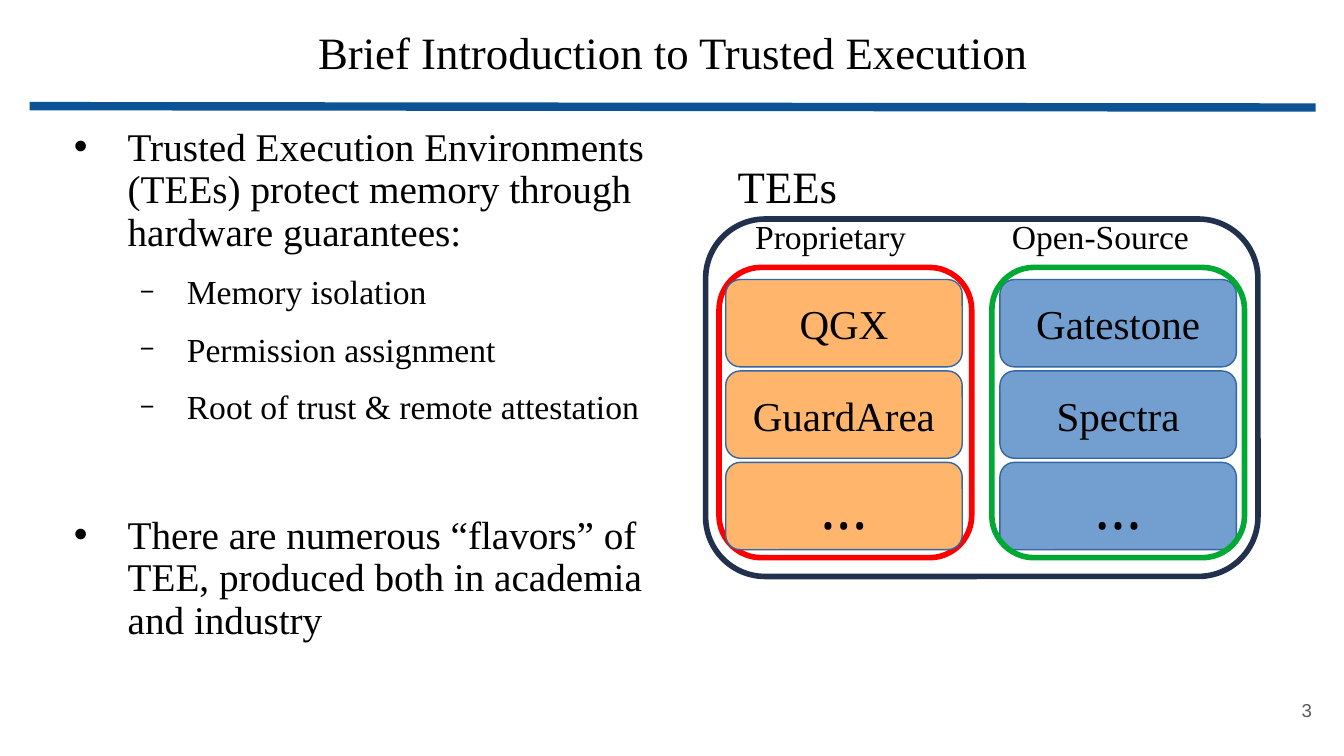
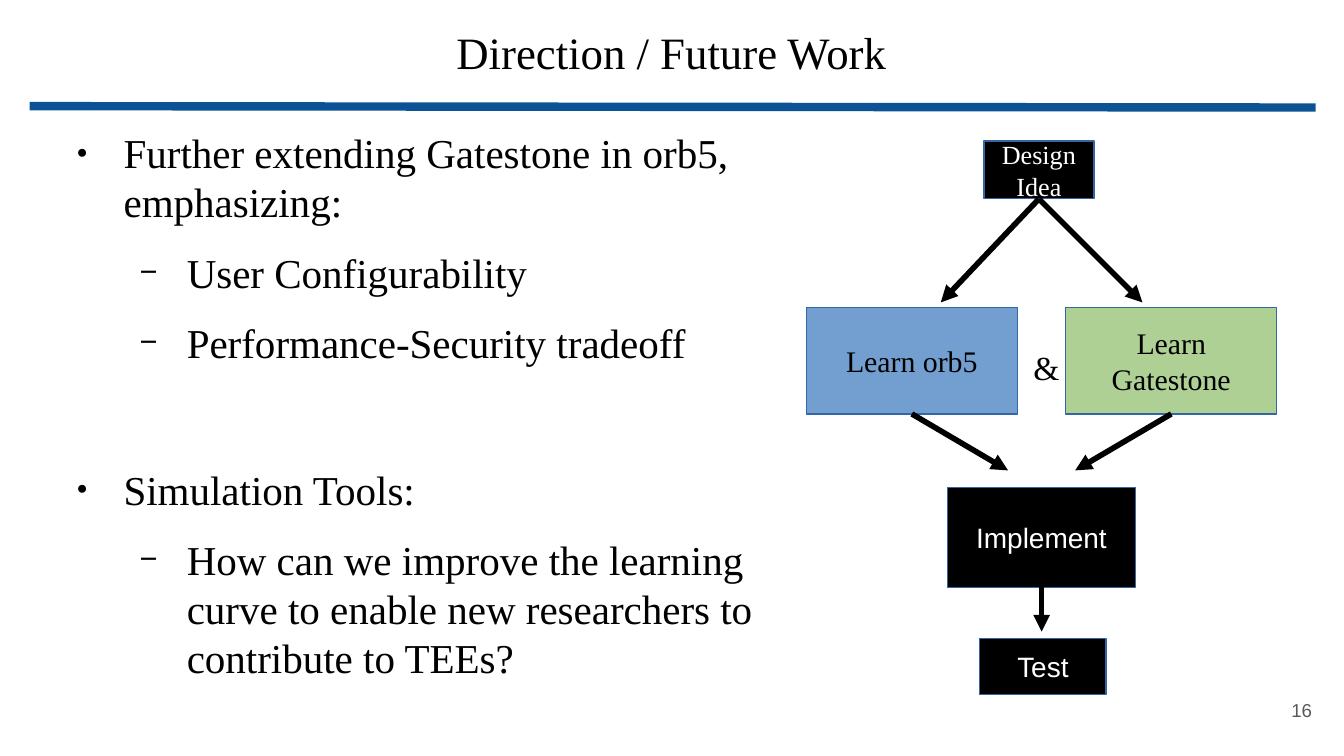
from dataclasses import dataclass

from lxml.etree import SubElement
from pptx import Presentation
from pptx.dml.color import RGBColor
from pptx.enum.shapes import MSO_CONNECTOR, MSO_SHAPE
from pptx.enum.text import MSO_ANCHOR, PP_ALIGN
from pptx.oxml.ns import qn
from pptx.util import Inches, Pt


@dataclass(frozen=True)
class Theme:
    serif: str = "Times New Roman"
    sans: str = "Arial"
    dots: str = "Open Sans"
    black: str = "000000"
    white: str = "FFFFFF"
    grey: str = "595959"
    rule: str = "0B5394"
    edge: str = "3465A4"
    blue: str = "729FCF"
    orange: str = "FFB66C"
    green: str = "AFD095"
    red_frame: str = "FF0000"
    green_frame: str = "00A933"
    navy_frame: str = "21314D"
    title_size: int = 24
    cell_size: int = 22
    dots_size: int = 32
    label_size: int = 18
    number_size: int = 10
    rule_width: float = 4.5
    stroke_width: int = 3


THEME = Theme()

INTRODUCTION = {
    "title": "Brief Introduction to Trusted Execution",
    "title_at": (1.13, 0.19, 7.75, 0.99),
    "number": "3",
    "body_at": (0.38, 0.91, 4.62, 4.09),
    "sizes": (21, 18),
    "line_spacing": 0.9,
    "indents": ((0.5, -0.4), (0.94, -0.35)),
    "marks": (("•", 100), ("−", 75)),
    "points": [
        (0, 12, "Trusted Execution Environments (TEEs) protect memory through hardware guarantees:"),
        (1, 11.3, "Memory isolation"),
        (1, 11.3, "Permission assignment"),
        (1, 11.3, "Root of trust & remote attestation"),
        (0, 47.5, "There are numerous “flavors” of TEE, produced both in academia and industry"),
    ],
}

FUTURE_WORK = {
    "title": "Direction / Future Work",
    "title_at": (1.63, 0.19, 6.73, 0.99),
    "number": "16",
    "body_at": (0.38, 0.91, 5.86, 4.58),
    "sizes": (22, 22),
    "line_spacing": 1.0,
    "indents": ((0.47, -0.35), (0.94, -0.35)),
    "marks": (("●", 45), ("−", 75)),
    "points": [
        (0, 14.2, "Further extending Gatestone in orb5, emphasizing:"),
        (1, 11.3, "User Configurability"),
        (1, 11.3, "Performance-Security tradeoff"),
        (0, 52, "Simulation Tools:"),
        (1, 11.3, "How can we improve the learning curve to enable new researchers to contribute to TEEs?"),
    ],
}

FAMILIES = [
    {"cells": ["QGX", "GuardArea", "..."], "fill": THEME.orange, "left": 5.4,
     "frame_left": 5.35, "frame_color": THEME.red_frame, "frame_first": True},
    {"cells": ["Gatestone", "Spectra", "..."], "fill": THEME.blue, "left": 7.44,
     "frame_left": 7.38, "frame_color": THEME.green_frame, "frame_first": False},
]
CELL_TOP, CELL_STEP, CELL_WIDTH, CELL_HEIGHT = 2.08, 0.68, 1.76, 0.65
FRAME_TOP, FRAME_WIDTH, FRAME_HEIGHT = 1.99, 1.88, 2.16

FAMILY_LABELS = [
    ("Proprietary", (5.52, 1.56, 1.56, 0.4), THEME.label_size),
    ("Open-Source", (7.43, 1.56, 1.79, 0.4), THEME.label_size),
    ("TEEs", (5.39, 1.13, 1.42, 0.5), THEME.title_size),
]

STEPS = [
    ("Design Idea", (7.32, 1.05, 0.82, 0.43), THEME.black, THEME.white, THEME.serif, 14),
    ("Implement", (7.05, 3.63, 1.4, 0.74), THEME.black, THEME.white, THEME.sans, 15),
    ("Test", (7.29, 4.75, 0.94, 0.42), THEME.black, THEME.white, THEME.sans, 15),
    ("Learn orb5", (6, 2.29, 1.57, 0.79), THEME.blue, THEME.black, THEME.serif, 16),
    ("Learn Gatestone", (7.93, 2.29, 1.57, 0.79), THEME.green, THEME.black, THEME.serif, 16),
]
ARROWS = [
    ("Design Idea", (7, 2.25)),
    ("Design Idea", (8.5, 2.25)),
    ("Learn Gatestone", (8, 3.5)),
    ("Learn orb5", (7.5, 3.5)),
    ("Implement", (7.75, 4.7)),
]
BOTTOM_SIDE = 2


def place(at):
    return [Inches(value) for value in at]


def set_frame(frame, inset=(0.1, 0.05), anchor=MSO_ANCHOR.TOP):
    horizontal, vertical = place(inset)
    settings = {
        "word_wrap": True,
        "vertical_anchor": anchor,
        "margin_left": horizontal,
        "margin_right": horizontal,
        "margin_top": vertical,
        "margin_bottom": vertical,
    }
    for name, value in settings.items():
        setattr(frame, name, value)


def write(para, text, size, font=THEME.serif, color=THEME.black, **settings):
    for name, value in settings.items():
        setattr(para, name, value)
    span = para.add_run()
    span.text = text
    for name, value in {"name": font, "size": Pt(size)}.items():
        setattr(span.font, name, value)
    span.font.color.rgb = RGBColor.from_string(color)


def add_text(page, at, text, size, inset=(0.1, 0.05), anchor=MSO_ANCHOR.TOP, **style):
    frame = page.shapes.add_textbox(*place(at)).text_frame
    set_frame(frame, inset, anchor)
    write(frame.paragraphs[0], text, size, **style)


def add_box(page, kind, at, fill=None, line=THEME.edge, width=0):
    box = page.shapes.add_shape(kind, *place(at))
    box.shadow.inherit = False
    if fill:
        box.fill.solid()
        box.fill.fore_color.rgb = RGBColor.from_string(fill)
    else:
        box.fill.background()
    box.line.color.rgb = RGBColor.from_string(line)
    box.line.width = Pt(width)
    return box


def add_labelled_box(page, kind, at, fill, text, size, **style):
    box = add_box(page, kind, at, fill)
    set_frame(box.text_frame, anchor=MSO_ANCHOR.MIDDLE)
    write(box.text_frame.paragraphs[0], text, size, alignment=PP_ALIGN.CENTER, **style)
    return box


def add_line(page, start, end, color, width):
    line = page.shapes.add_connector(MSO_CONNECTOR.STRAIGHT, *place(start + end))
    line.line.color.rgb = RGBColor.from_string(color)
    line.line.width = Pt(width)
    SubElement(line._element.spPr, qn("a:effectLst"))
    return line


def add_arrow(page, box, end):
    arrow = add_line(page, end, end, THEME.black, THEME.stroke_width)
    arrow.begin_connect(box, BOTTOM_SIDE)
    SubElement(arrow.line._get_or_add_ln(), qn("a:tailEnd"), type="triangle")


def add_bullet(para, mark, percent, left, hanging):
    properties = para._p.get_or_add_pPr()
    properties.set("marL", str(Inches(left)))
    properties.set("indent", str(Inches(hanging)))
    color = SubElement(properties, qn("a:buClr"))
    SubElement(color, qn("a:srgbClr"), val=THEME.black)
    SubElement(properties, qn("a:buSzPct"), val=str(percent * 1000))
    SubElement(properties, qn("a:buFont"), typeface=THEME.sans)
    SubElement(properties, qn("a:buChar"), char=mark)


def add_points(page, content):
    frame = page.shapes.add_textbox(*place(content["body_at"])).text_frame
    set_frame(frame, (0.07, 0.04))
    for index, (level, gap, text) in enumerate(content["points"]):
        para = frame.add_paragraph() if index else frame.paragraphs[0]
        write(para, text, content["sizes"][level], level=level,
              space_before=Pt(gap), line_spacing=content["line_spacing"])
        add_bullet(para, *content["marks"][level], *content["indents"][level])


def add_page(deck, content):
    page = deck.slides.add_slide(deck.slide_layouts[6])
    add_line(page, (0.22, 0.79), (9.79, 0.8), THEME.rule, THEME.rule_width)
    add_text(page, (9.27, 5.07, 0.59, 0.42), content["number"], THEME.number_size,
             (0.1, 0.1), MSO_ANCHOR.MIDDLE, font=THEME.sans, color=THEME.grey,
             alignment=PP_ALIGN.RIGHT)
    add_text(page, content["title_at"], content["title"], THEME.title_size,
             (0.07, 0.04), alignment=PP_ALIGN.CENTER, line_spacing=0.9)
    add_points(page, content)
    return page


def add_cells(page, family):
    for row, text in enumerate(family["cells"]):
        at = (family["left"], CELL_TOP + row * CELL_STEP, CELL_WIDTH, CELL_HEIGHT)
        dotted = text == "..."
        add_labelled_box(page, MSO_SHAPE.ROUNDED_RECTANGLE, at, family["fill"], text,
                         THEME.dots_size if dotted else THEME.cell_size,
                         font=THEME.dots if dotted else THEME.serif)


def add_outline(page, at, color):
    add_box(page, MSO_SHAPE.ROUNDED_RECTANGLE, at, line=color, width=THEME.stroke_width)


def add_family_frame(page, family):
    add_outline(page, (family["frame_left"], FRAME_TOP, FRAME_WIDTH, FRAME_HEIGHT),
                family["frame_color"])


def build_introduction(deck):
    page = add_page(deck, INTRODUCTION)
    for family in FAMILIES:
        layers = [add_cells, add_family_frame]
        if family["frame_first"]:
            layers.reverse()
        for layer in layers:
            layer(page, family)
    add_outline(page, (5.25, 1.63, 4.11, 2.66), THEME.navy_frame)
    for text, at, size in FAMILY_LABELS:
        add_text(page, at, text, size)


def build_future_work(deck):
    page = add_page(deck, FUTURE_WORK)
    boxes = {}
    for text, at, fill, color, font, size in STEPS:
        boxes[text] = add_labelled_box(page, MSO_SHAPE.RECTANGLE, at, fill, text, size,
                                       font=font, color=color)
    for name, end in ARROWS:
        add_arrow(page, boxes[name], end)
    add_text(page, (7.59, 2.53, 0.24, 0.37), "&", THEME.label_size)


def main():
    deck = Presentation()
    deck.slide_width = Inches(10)
    deck.slide_height = Inches(10 * 9 / 16)
    build_introduction(deck)
    build_future_work(deck)
    deck.save("out.pptx")


if __name__ == "__main__":
    main()
